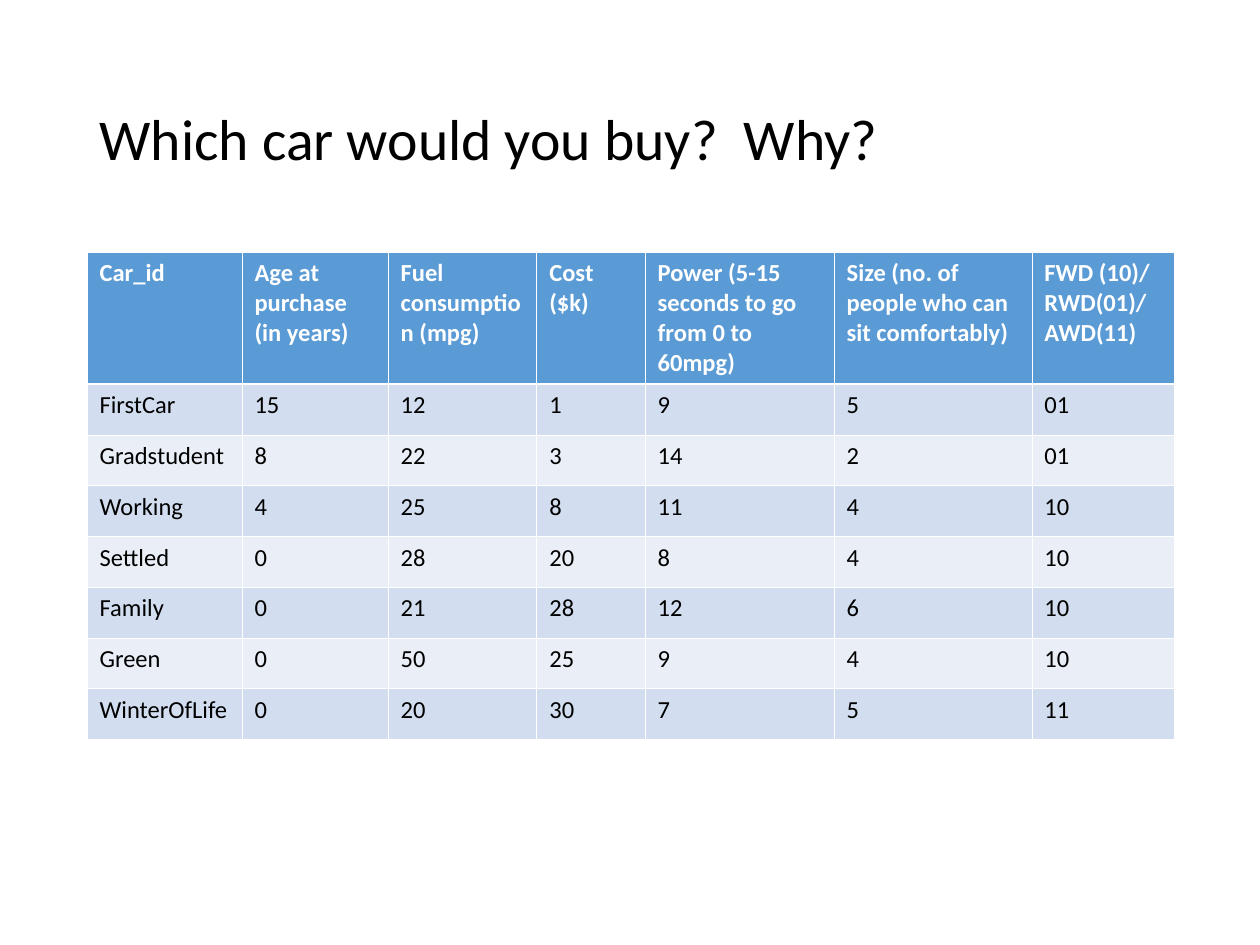
from lxml.etree import SubElement
from pptx import Presentation
from pptx.dml.color import RGBColor
from pptx.enum.text import MSO_ANCHOR, PP_ALIGN
from pptx.oxml.ns import qn
from pptx.util import Inches, Pt

TITLE = "Which car would you buy?  Why?"
HEADERS = [
    "Car_id", "Age at purchase (in years)", "Fuel consumption (mpg)", "Cost ($k)",
    "Power (5-15 seconds to go from 0 to 60mpg)",
    "Size (no. of people who can sit comfortably)", "FWD (10)/ RWD(01)/ AWD(11)",
]
CARS = [
    ("FirstCar", "15", "12", "1", "9", "5", "01"),
    ("Gradstudent", "8", "22", "3", "14", "2", "01"),
    ("Working", "4", "25", "8", "11", "4", "10"),
    ("Settled", "0", "28", "20", "8", "4", "10"),
    ("Family", "0", "21", "28", "12", "6", "10"),
    ("Green", "0", "50", "25", "9", "4", "10"),
    ("WinterOfLife", "0", "20", "30", "7", "5", "11"),
]
COLORS = {
    "text": "000000", "white": "FFFFFF", "header": "5B9BD5",
    "odd": "D2DEEF", "even": "EAEFF7",
}
FONT = "Calibri"
LEFT, WIDTH = 0.69, 8.63
TABLE_TOP, TABLE_HEIGHT, HEADER_HEIGHT = 2, 3.87, 1.05
COLUMN_WIDTHS = [1.23, 1.16, 1.18, 0.86, 1.5, 1.57, 1.13]
THIN, THICK = 0.45, 1.47


def color(name):
    return RGBColor.from_string(COLORS[name])


def write(para, text, size, color_name, bold=False):
    span = para.add_run()
    span.text = text
    span.font.name = FONT
    span.font.size = Pt(size)
    span.font.bold = bold
    span.font.color.rgb = color(color_name)


def add_borders(cell, top, bottom):
    """Draw white cell borders; must run before the cell gets its fill."""
    properties = cell._tc.get_or_add_tcPr()
    for side, width in (("L", THIN), ("R", THIN), ("T", top), ("B", bottom)):
        line = SubElement(properties, qn(f"a:ln{side}"), w=str(Pt(width)))
        fill = SubElement(line, qn("a:solidFill"))
        SubElement(fill, qn("a:srgbClr"), val=COLORS["white"])


def add_title(page):
    title = page.shapes.title
    title.left, title.top = Inches(LEFT), Inches(0.4)
    title.width, title.height = Inches(WIDTH), Inches(1.45)
    title.text_frame.vertical_anchor = MSO_ANCHOR.MIDDLE
    para = title.text_frame.paragraphs[0]
    para.alignment = PP_ALIGN.LEFT
    para.line_spacing = 0.9
    write(para, TITLE, 33, "text")


def add_car_table(page):
    rows = [HEADERS, *CARS]
    table = page.shapes.add_table(
        len(rows), len(HEADERS), Inches(LEFT), Inches(TABLE_TOP),
        Inches(WIDTH), Inches(TABLE_HEIGHT)).table
    for column, width in zip(table.columns, COLUMN_WIDTHS):
        column.width = Inches(width)
    car_height = (TABLE_HEIGHT - HEADER_HEIGHT) / len(CARS)
    for r, values in enumerate(rows):
        is_header = r == 0
        table.rows[r].height = Inches(HEADER_HEIGHT if is_header else car_height)
        fill_name = "header" if is_header else "odd" if r % 2 else "even"
        for c, value in enumerate(values):
            cell = table.cell(r, c)
            add_borders(cell, THICK if r == 1 else THIN, THICK if is_header else THIN)
            cell.fill.solid()
            cell.fill.fore_color.rgb = color(fill_name)
            write(cell.text_frame.paragraphs[0], value, 14,
                  "white" if is_header else "text", is_header)


def main():
    deck = Presentation()
    deck.slide_width, deck.slide_height = Inches(10), Inches(7.5)
    page = deck.slides.add_slide(deck.slide_layouts.get_by_name("Title Only"))
    add_title(page)
    add_car_table(page)
    deck.save("out.pptx")


if __name__ == "__main__":
    main()
